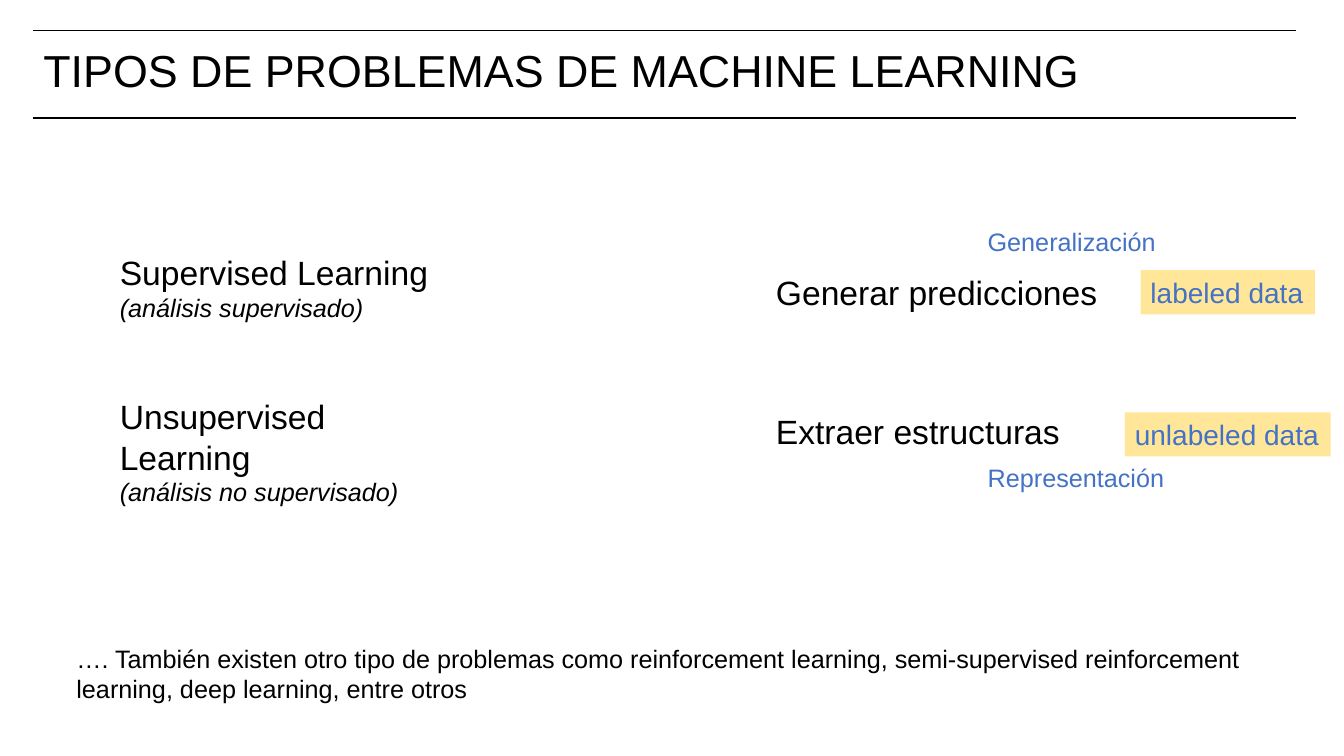
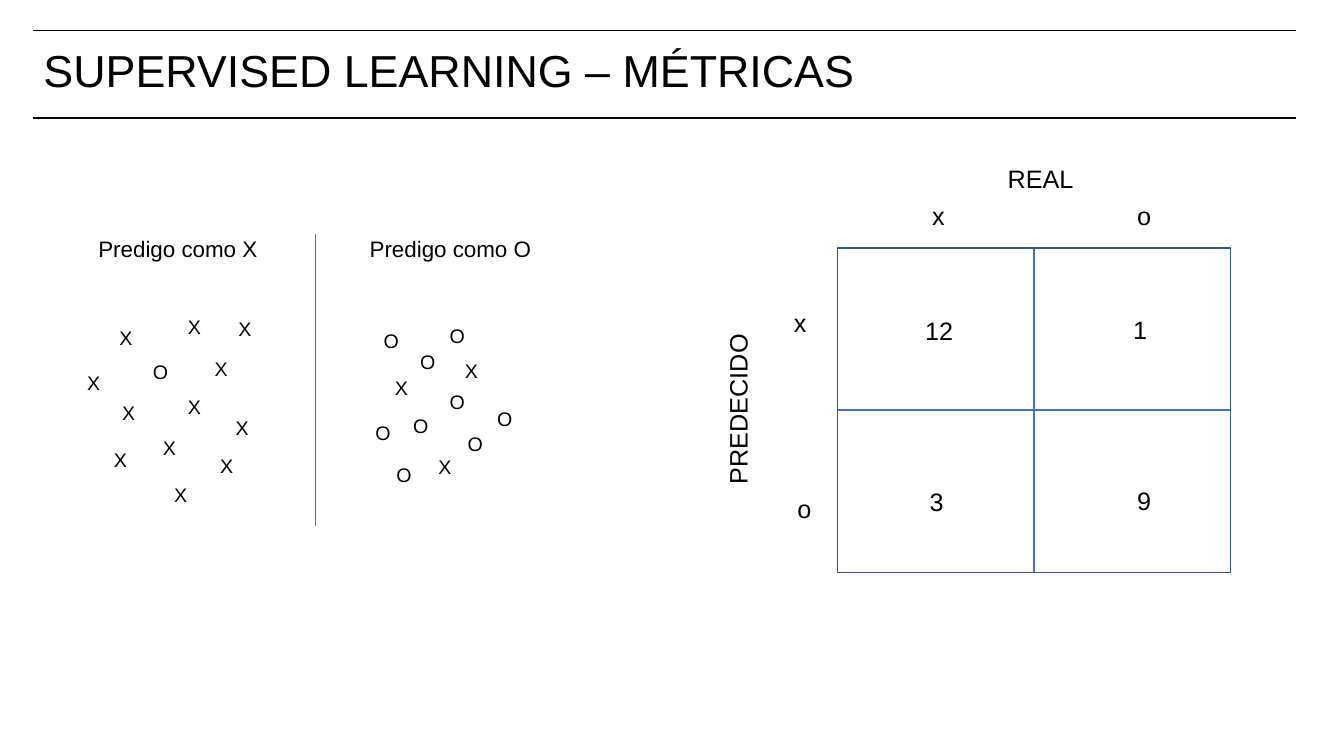
import lxml.etree
import pptx
import pptx.dml.color
import pptx.enum.shapes
import pptx.enum.text
import pptx.oxml.ns
import pptx.util

Pt = pptx.util.Pt
RGBColor = pptx.dml.color.RGBColor
ALIGN = pptx.enum.text.PP_ALIGN
ANCHOR = pptx.enum.text.MSO_ANCHOR
AUTO_SIZE = pptx.enum.text.MSO_AUTO_SIZE

BLACK = RGBColor(0x00, 0x00, 0x00)
BLUE = RGBColor(0x44, 0x72, 0xC4)
DARK_BLUE = RGBColor(0x32, 0x54, 0x91)
YELLOW = RGBColor(0xFF, 0xE6, 0x99)
FONT = "Arial"

# Header band shared by all slides
BAND_LEFT, BAND_WIDTH = 23.8, 902.2
BAND_RULES = (21.6, 84.2)
TITLE_TOP, TITLE_HEIGHT = 31, 42.5

MARK_WIDTH, MARK_HEIGHT = 24, 24.5
LABEL_HEIGHT = 28.8

# Each mark: letter, then offset from the heading's corner
PREDICTED_X = [
    ("X", 64, 57), ("O", 39, 89), ("X", 64, 114), ("X", 17, 118), ("X", 15, 65),
    ("X", 46, 143), ("X", 87, 156), ("X", 83, 87), ("X", 98, 129), ("X", 100, 58),
    ("X", -8, 97), ("X", 11, 152), ("X", 54, 177),
]
PREDICTED_O = [
    ("O", 10, 67), ("O", 36, 82), ("X", 18, 101), ("O", 57, 111), ("O", 31, 128),
    ("X", 68, 89), ("O", 57, 64), ("O", 70, 141), ("O", 4, 133), ("X", 49, 157),
    ("O", 91, 123), ("O", 19, 163),
]

# Each label: text, width, then offset of its centre from the matrix corner
MATRIX_LABELS = [
    ("REAL", 62, 145.4, -49.7),
    ("x", 24, 72.4, -23), ("o", 24, 218.9, -23),
    ("x", 24, -26.3, 53.3), ("o", 24, -23.8, 185.8),
    ("12", 34.6, 72.7, 59), ("1", 24, 216, 58.3),
    ("3", 24, 70.6, 181.4), ("9", 24, 218.9, 180.7),
]


def style(paragraph, size, color=BLACK, italic=False):
    font = paragraph.font
    font.name, font.size, font.italic = FONT, Pt(size), italic
    font.color.rgb = color


def add_text(slide, text, left, top, width, height, size, color=BLACK, wrap=False):
    box = slide.shapes.add_textbox(Pt(left), Pt(top), Pt(width), Pt(height))
    frame = box.text_frame
    frame.word_wrap = wrap
    frame.auto_size = AUTO_SIZE.SHAPE_TO_FIT_TEXT
    frame.text = text
    style(frame.paragraphs[0], size, color)
    return box


def add_line(slide, x1, y1, x2, y2, color, weight):
    line = slide.shapes.add_connector(
        pptx.enum.shapes.MSO_CONNECTOR.STRAIGHT, Pt(x1), Pt(y1), Pt(x2), Pt(y2))
    line.line.color.rgb = color
    line.line.width = Pt(weight)
    properties = line.element.find(pptx.oxml.ns.qn("p:spPr"))
    lxml.etree.SubElement(properties, pptx.oxml.ns.qn("a:effectLst"))
    return line


def add_layout_rules(slide):
    """Draw the header rules and hand them to the layout."""
    for number, y in enumerate(BAND_RULES):
        rule = add_line(slide, BAND_LEFT, y, BAND_LEFT + BAND_WIDTH, y, BLACK, 1)
        rule.element.nvCxnSpPr.cNvPr.id = 101 + number
        slide.slide_layout.shapes.element.append(rule.element)


def add_titled_slide(deck, heading):
    slide = deck.slides.add_slide(deck.slide_layouts[5])
    title = slide.shapes.title
    title.left, title.top = Pt(BAND_LEFT), Pt(TITLE_TOP)
    title.width, title.height = Pt(BAND_WIDTH), Pt(TITLE_HEIGHT)
    frame = title.text_frame
    frame.text = heading
    frame.auto_size = AUTO_SIZE.NONE
    frame.vertical_anchor = ANCHOR.MIDDLE
    paragraph = frame.paragraphs[0]
    paragraph.alignment = ALIGN.LEFT
    paragraph.line_spacing = 0.9
    style(paragraph, 32)
    return slide


def add_problem_row(slide, left, top, term, goal, remark, data):
    """Place a learning type with its goal, remark and data badge.

    The last three are pairs of text and drop from the row's top;
    term is a name and its translation, data also has a badge width.
    """
    name, translation = term
    term_box = add_text(slide, name, left, top, 250, 58.3, 24)
    term_box.text_frame.word_wrap = True
    subtitle = term_box.text_frame.add_paragraph()
    subtitle.text = translation
    style(subtitle, 18, italic=True)

    goal_text, goal_drop = goal
    add_text(slide, goal_text, left + 468.7, top + goal_drop, 246, 36, 24)
    remark_text, remark_drop = remark
    add_text(slide, remark_text, left + 619.9, top + remark_drop, 142, LABEL_HEIGHT, 18, BLUE)

    data_text, data_drop, data_width = data
    badge = add_text(slide, data_text, left + 798.5 - data_width / 2, top + data_drop,
                     data_width, 31.5, 20, BLUE)
    badge.fill.solid()
    badge.fill.fore_color.rgb = YELLOW


def add_prediction_panel(slide, left, top, heading, marks):
    add_text(slide, heading, left, top, 130, 26.6, 16)
    for letter, dx, dy in marks:
        add_text(slide, letter, left + dx, top + dy, MARK_WIDTH, MARK_HEIGHT, 14)


def add_confusion_matrix(slide, left, top, width, height):
    # Frame and inner lines
    middle_x, middle_y = left + width / 2, top + height / 2
    add_line(slide, middle_x, top, middle_x, top + height, BLUE, 1)
    add_line(slide, left, middle_y, left + width, middle_y, BLUE, 1)
    frame = slide.shapes.add_shape(
        pptx.enum.shapes.MSO_SHAPE.RECTANGLE, Pt(left), Pt(top), Pt(width), Pt(height))
    frame.shadow.inherit = False
    frame.fill.background()
    frame.line.color.rgb = DARK_BLUE
    frame.line.width = Pt(1)

    # Axis labels and counts
    def add_label(text, label_width, dx, dy):
        return add_text(slide, text, left + dx - label_width / 2,
                        top + dy - LABEL_HEIGHT / 2, label_width, LABEL_HEIGHT, 18)

    for label in MATRIX_LABELS:
        add_label(*label)
    add_label("PREDECIDO", 122.4, -71.3, 114.5).rotation = 270


def build_problem_types(deck):
    slide = add_titled_slide(deck, "TIPOS DE PROBLEMAS DE MACHINE LEARNING")
    add_layout_rules(slide)
    add_problem_row(slide, 78.5, 176.4,
                    ("Supervised Learning", "(análisis supervisado)"),
                    ("Generar predicciones", 14.4), ("Generalización", -18),
                    ("labeled data", 16.6, 124.6))
    add_problem_row(slide, 78.5, 279.4,
                    ("Unsupervised Learning", "(análisis no supervisado)"),
                    ("Extraer estructuras", 10.8), ("Representación", 47.5),
                    ("unlabeled data", 15.1, 146.9))
    add_text(slide, "…. También existen otro tipo de problemas como reinforcement learning, "
             "semi-supervised reinforcement learning, deep learning, entre otros",
             47.5, 455.8, 878.4, 51, 18, wrap=True)


def build_metrics(deck):
    slide = add_titled_slide(deck, "SUPERVISED LEARNING – MÉTRICAS")
    add_prediction_panel(slide, 63.2, 164.5, "Predigo como X", PREDICTED_X)
    add_prediction_panel(slide, 257, 164.2, "Predigo como O", PREDICTED_O)
    add_line(slide, 225.4, 167, 225.4, 375.8, BLUE, 0.5)
    add_confusion_matrix(slide, 598.3, 177.1, 280.8, 231.8)


def main():
    deck = pptx.Presentation()
    deck.slide_width, deck.slide_height = Pt(960), Pt(540)
    build_problem_types(deck)
    build_metrics(deck)
    deck.save("out.pptx")


if __name__ == "__main__":
    main()
